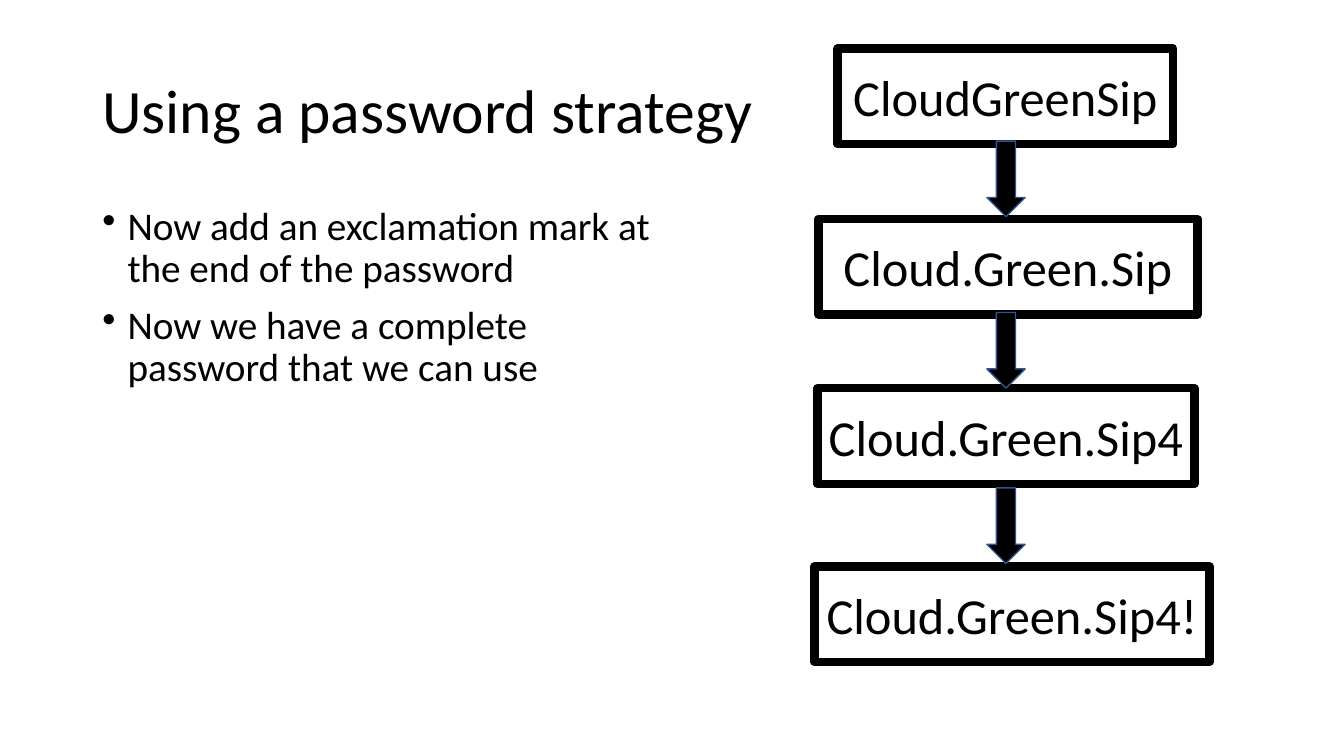
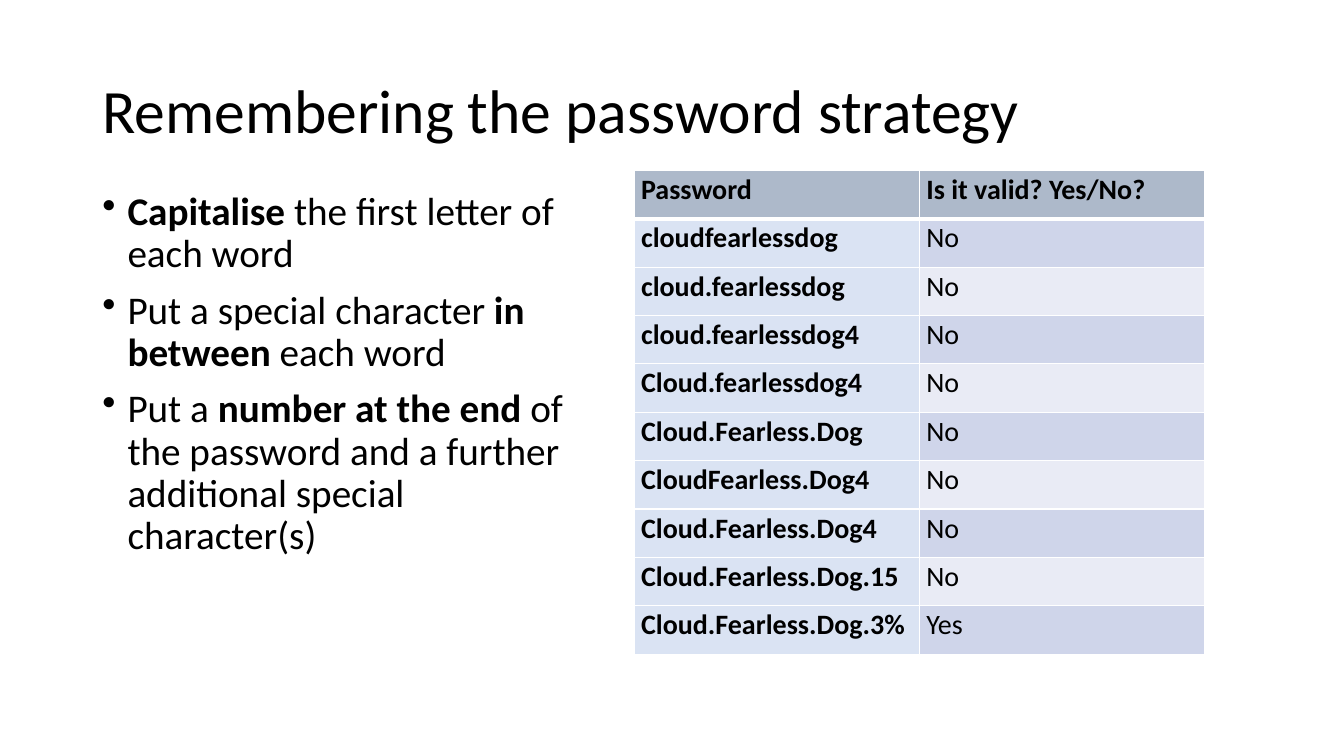
from lxml import etree
from pptx import Presentation
from pptx.dml.color import RGBColor
from pptx.enum import shapes, text
from pptx.oxml import ns
from pptx.util import Pt

FONT = "Calibri"
BLACK, WHITE = "000000", "FFFFFF"
ARROW_EDGE = "325491"
HEADER, FIRST_COLUMN = "ADB9CA", "DAE3F3"
BANDS = ("CFD5EA", "E9EBF5")


def color(value):
    return RGBColor.from_string(value)


def add_element(parent, tag, **attributes):
    return etree.SubElement(parent, ns.qn(tag), attributes)


class Deck:
    def __init__(self):
        self.presentation = Presentation()
        self.presentation.slide_width = Pt(960)
        self.presentation.slide_height = Pt(540)
        self.slide = None

    def add_slide(self, title):
        layout = self.presentation.slide_layouts[6]
        self.slide = self.presentation.slides.add_slide(layout)
        frame = self.text_box(66, 28.8, 828, 104.4)
        frame.vertical_anchor = text.MSO_ANCHOR.MIDDLE
        self.set_text(frame.paragraphs[0], title, 44).line_spacing = 0.9

    def text_box(self, left, top, width, height):
        shape = self.slide.shapes.add_textbox(Pt(left), Pt(top), Pt(width), Pt(height))
        shape.text_frame.word_wrap = True
        return shape.text_frame

    def set_text(self, paragraph, content, size, bold=False):
        paragraph.text = content
        self.style(paragraph, size)
        paragraph.font.bold = bold
        return paragraph

    def style(self, paragraph, size):
        paragraph.font.name = FONT
        paragraph.font.size = Pt(size)
        paragraph.font.color.rgb = color(BLACK)

    def bullets(self, left, top, width, height, items):
        frame = self.text_box(left, top, width, height)
        for index, item in enumerate(items):
            paragraph = frame.add_paragraph() if index else frame.paragraphs[0]
            self.style(paragraph, 28)
            paragraph.line_spacing = 0.9
            paragraph.space_before = Pt(10)
            properties = paragraph._p.get_or_add_pPr()
            properties.set("marL", str(Pt(18)))
            properties.set("indent", str(-Pt(18)))
            bullet = etree.Element(ns.qn("a:buChar"), {"char": "•"})
            properties.insert_element_before(bullet, "a:tabLst", "a:defRPr", "a:extLst")
            for position, part in enumerate(item.split("*")):
                if part:
                    run = paragraph.add_run()
                    run.text = part
                    run.font.bold = position % 2 == 1

    def shape(self, kind, left, top, width, height, line, weight):
        shape = self.slide.shapes.add_shape(kind, Pt(left), Pt(top), Pt(width), Pt(height))
        shape.shadow.inherit = False
        shape.line.color.rgb = color(line)
        shape.line.width = Pt(weight)
        return shape

    def password_box(self, left, top, width, password):
        shape = self.shape(shapes.MSO_SHAPE.RECTANGLE, left, top, width, 68.4, BLACK, 6)
        shape.fill.background()
        frame = shape.text_frame
        frame.word_wrap = False
        frame.vertical_anchor = text.MSO_ANCHOR.MIDDLE
        paragraph = self.set_text(frame.paragraphs[0], password, 36)
        paragraph.alignment = text.PP_ALIGN.CENTER

    def down_arrow(self, top):
        kind = shapes.MSO_SHAPE.DOWN_ARROW
        shape = self.shape(kind, 704.88, top, 27.36, 54, ARROW_EDGE, 1)
        shape.fill.solid()
        shape.fill.fore_color.rgb = color(BLACK)

    def table(self, left, top, width, height, rows):
        frame = self.slide.shapes.add_table(
            len(rows), len(rows[0]), Pt(left), Pt(top), Pt(width), Pt(height))
        for row, values in enumerate(rows):
            for column, value in enumerate(values):
                if row == 0:
                    fill = HEADER
                elif column == 0:
                    fill = FIRST_COLUMN
                else:
                    fill = BANDS[(row - 1) % 2]
                bold = row == 0 or column == 0
                self.cell(frame.table.cell(row, column), value, fill, bold, row)

    def cell(self, cell, value, fill, bold, row):
        cell.margin_left = cell.margin_right = Pt(5.04)
        cell.margin_top = cell.margin_bottom = 0
        paragraph = self.set_text(cell.text_frame.paragraphs[0], value, 20, bold)
        paragraph.line_spacing = 1.07
        paragraph.space_after = Pt(8)
        weights = {"L": 1, "R": 1, "T": 3 if row == 1 else 1, "B": 3 if row == 0 else 1}
        properties = cell._tc.get_or_add_tcPr()
        for side, weight in weights.items():
            line = add_element(properties, "a:ln" + side, w=str(Pt(weight)))
            add_element(add_element(line, "a:solidFill"), "a:srgbClr", val=WHITE)
        cell.fill.solid()
        cell.fill.fore_color.rgb = color(fill)


deck = Deck()

deck.add_slide("Using a password strategy")
deck.bullets(66, 144, 406.8, 357.84, [
    "Now add an exclamation mark at the end of the password",
    "Now we have a complete password that we can use",
])
for left, top, width, password in [
    (598.32, 34.56, 239.76, "CloudGreenSip"),
    (584.64, 156.24, 270.72, "Cloud.Green.Sip"),
    (583.92, 277.2, 269.28, "Cloud.Green.Sip4"),
    (581.76, 404.64, 282.24, "Cloud.Green.Sip4!"),
]:
    deck.password_box(left, top, width, password)
for top in (100.8, 223.2, 348.48):
    deck.down_arrow(top)

deck.add_slide("Remembering the password strategy")
deck.bullets(66, 133.2, 346.32, 378, [
    "*Capitalise* the first letter of each word",
    "Put a special character *in between *each word",
    "Put a *number at the end *of the password and a further additional special character(s)",
])
deck.table(452.88, 121.68, 407.52, 345.6, [
    ("Password", "Is it valid? Yes/No?"),
    ("cloudfearlessdog", "No"),
    ("cloud.fearlessdog", "No"),
    ("cloud.fearlessdog4", "No"),
    ("Cloud.fearlessdog4", "No"),
    ("Cloud.Fearless.Dog", "No"),
    ("CloudFearless.Dog4", "No"),
    ("Cloud.Fearless.Dog4", "No"),
    ("Cloud.Fearless.Dog.15", "No"),
    ("Cloud.Fearless.Dog.3%", "Yes"),
])

deck.presentation.save("out.pptx")
